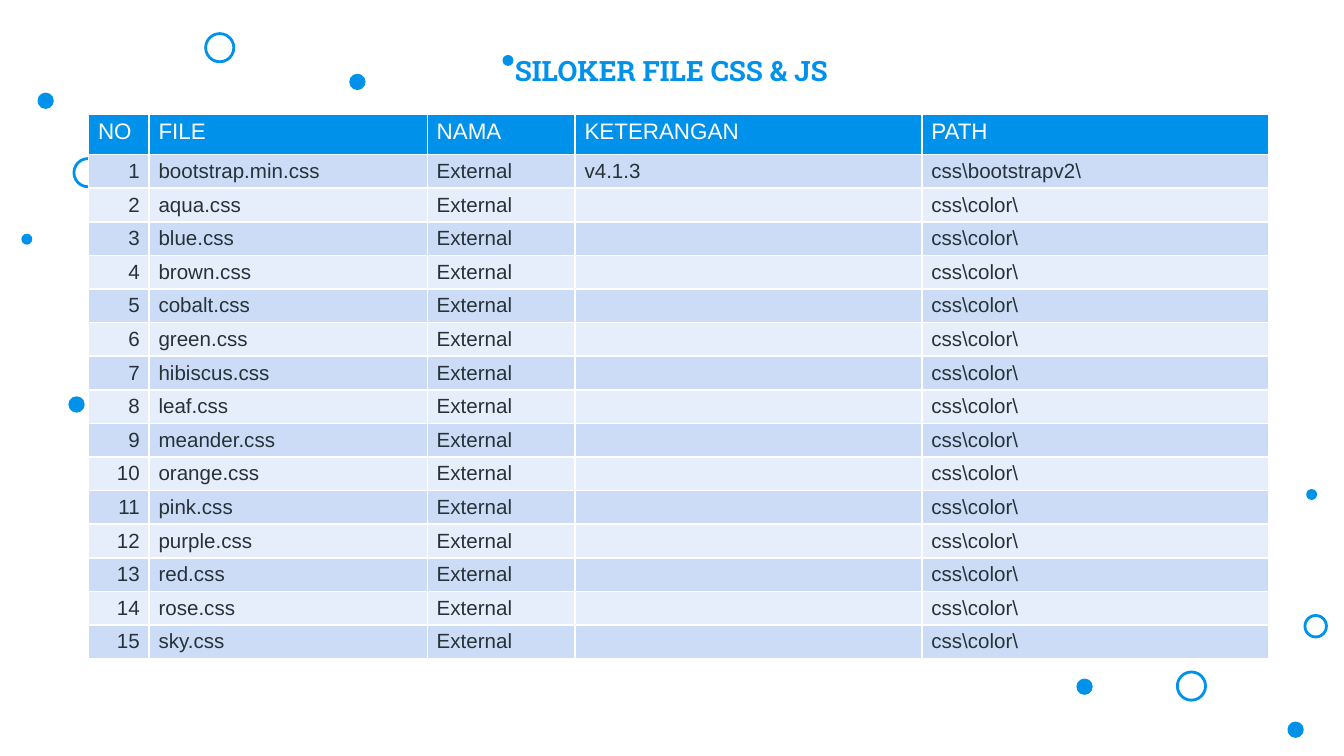
import pptx
import pptx.util
import pptx.dml.color
import pptx.enum.shapes
import pptx.enum.text
import pptx.oxml.ns
from lxml import etree

Inches, Pt = pptx.util.Inches, pptx.util.Pt
RGB = pptx.dml.color.RGBColor.from_string
ALIGN = pptx.enum.text.PP_ALIGN
qn = pptx.oxml.ns.qn

# Content
TITLE = "SILOKER FILE CSS & JS"
HEAD = ["NO", "FILE", "NAMA", "KETERANGAN", "PATH"]
COLORS = ["aqua", "blue", "brown", "cobalt", "green", "hibiscus", "leaf",
          "meander", "orange", "pink", "purple", "red", "rose", "sky"]
FILES = [("bootstrap.min.css", "v4.1.3", "css\\bootstrapv2\\")]
FILES += [(name + ".css", "", "css\\color\\") for name in COLORS]
ROWS = [HEAD] + [[str(num), name, "External", note, place]
                 for num, (name, note, place) in enumerate(FILES, 1)]

# Style
HEX = {"blue": "0091EA", "white": "FFFFFF", "ink": "263238",
       "odd": "CCDCF7", "even": "E7EEFB"}
BODY, SLAB = "Arial", "Roboto Slab"
WIDTHS = [0.45, 2.07, 1.1, 2.58, 2.58]
HEAD_H, ROW_H = 0.3, 0.25

# Circles: (size, filled, left and top of each)
CIRCLES = [
    (0.1, True, [(8.02, 5.06), (9.59, 5.38), (2.61, 0.56),
                 (0.52, 2.96), (0.29, 0.7)]),
    (0.06, True, [(9.73, 3.65), (0.17, 1.75), (3.75, 0.42)]),
    (0.21, False, [(0.55, 1.18), (1.53, 0.25), (8.76, 5)]),
    (0.16, False, [(9.71, 4.58)]),
]


def style(par, size, color, face, bold=False):
    for run in par.runs:
        run.font.size = Pt(size)
        run.font.name = face
        run.font.bold = bold
        run.font.color.rgb = RGB(HEX[color])


def add_circle(slide, left, top, size, filled):
    dot = slide.shapes.add_shape(
        pptx.enum.shapes.MSO_SHAPE.OVAL,
        Inches(left), Inches(top), Inches(size), Inches(size))
    dot.shadow.inherit = False
    dot.line.color.rgb = RGB(HEX["blue"])
    dot.line.width = Pt(1.5)
    if filled:
        dot.fill.solid()
        dot.fill.fore_color.rgb = RGB(HEX["blue"])
    else:
        dot.fill.background()


def add_borders(cell):
    props = cell._tc.get_or_add_tcPr()
    for side in ("lnL", "lnR", "lnT", "lnB"):
        line = etree.SubElement(props, qn("a:" + side), w=str(Pt(1)))
        fill = etree.SubElement(line, qn("a:solidFill"))
        etree.SubElement(fill, qn("a:srgbClr"), val=HEX["white"])


def fill_cell(cell, text, row, col):
    size, color, back = 11, "ink", "odd" if row % 2 else "even"
    if row == 0:
        size, color, back = 12, "white", "blue"
    add_borders(cell)
    cell.fill.solid()
    cell.fill.fore_color.rgb = RGB(HEX[back])
    cell.margin_left = cell.margin_right = Inches(0.07)
    cell.margin_top = cell.margin_bottom = Inches(0.04)
    par = cell.text_frame.paragraphs[0]
    if text:
        par.text = text
        style(par, size, color, BODY)
    else:
        # An empty cell keeps the text size and font, so the row stays low
        end = etree.SubElement(par._p, qn("a:endParaRPr"), sz=str(size * 100))
        etree.SubElement(end, qn("a:latin"), typeface=BODY)
    if row and col == 0:
        par.alignment = ALIGN.RIGHT


def add_files(slide):
    high = HEAD_H + ROW_H * len(FILES)
    table = slide.shapes.add_table(
        len(ROWS), len(HEAD), Inches(0.66), Inches(0.85),
        Inches(sum(WIDTHS)), Inches(high)).table
    for column, width in zip(table.columns, WIDTHS):
        column.width = Inches(width)
    for row, texts in enumerate(ROWS):
        table.rows[row].height = Inches(ROW_H if row else HEAD_H)
        for col, text in enumerate(texts):
            fill_cell(table.cell(row, col), text, row, col)


def add_title(slide):
    box = slide.shapes.add_textbox(
        Inches(1.82), Inches(0.32), Inches(6.35), Inches(0.4))
    frame = box.text_frame
    frame.word_wrap = True
    frame.vertical_anchor = pptx.enum.text.MSO_ANCHOR.MIDDLE
    frame.margin_left = frame.margin_right = Inches(0.1)
    frame.margin_top = frame.margin_bottom = Inches(0.1)
    frame.text = TITLE
    par = frame.paragraphs[0]
    par.alignment = ALIGN.CENTER
    style(par, 15, "blue", SLAB, True)


def main():
    deck = pptx.Presentation()
    # A 16:9 slide
    deck.slide_width = Inches(10)
    deck.slide_height = deck.slide_width * 9 // 16
    slide = deck.slides.add_slide(deck.slide_layouts[6])
    for size, filled, spots in CIRCLES:
        for left, top in spots:
            add_circle(slide, left, top, size, filled)
    add_files(slide)
    add_title(slide)
    deck.save("out.pptx")


if __name__ == "__main__":
    main()
